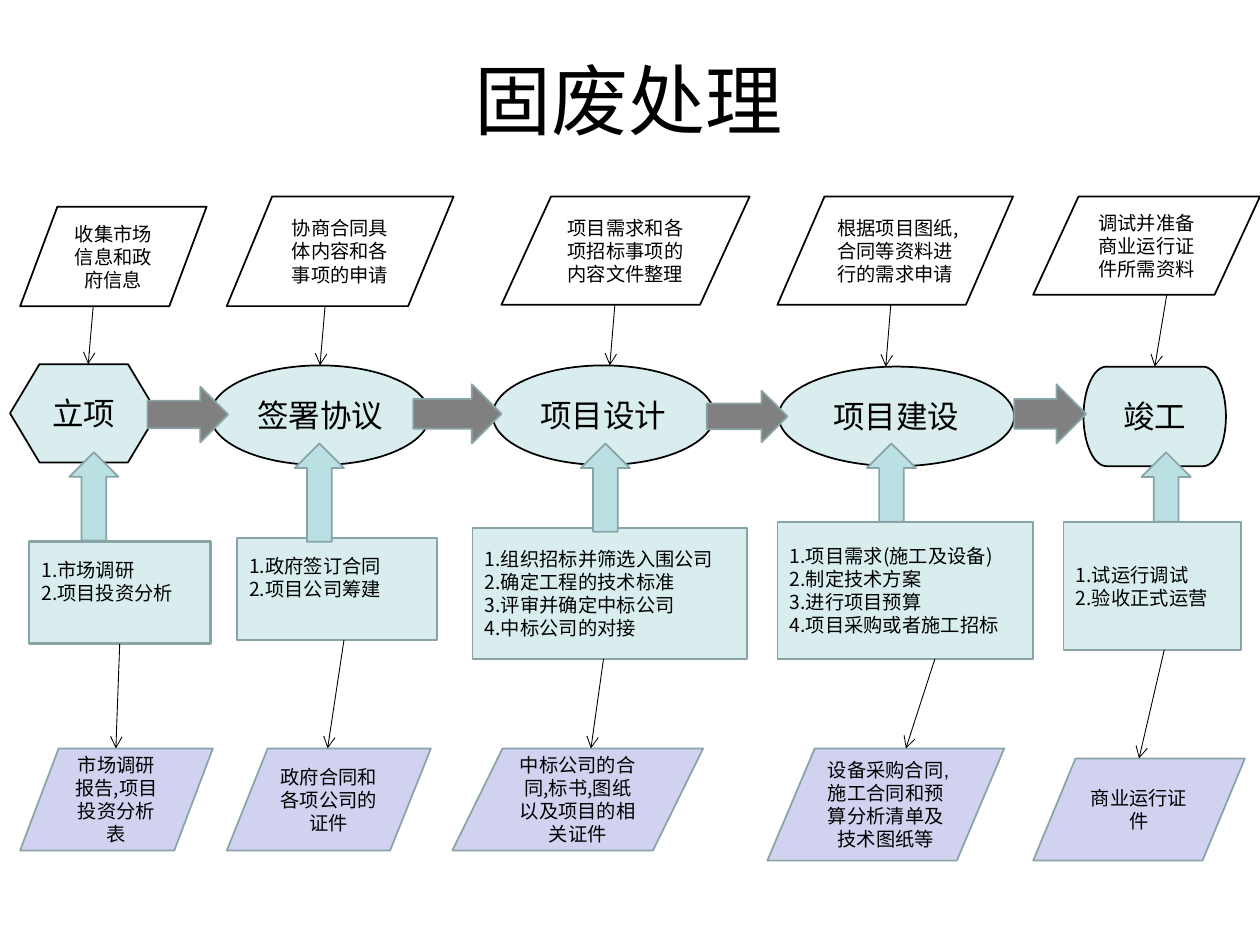
from dataclasses import dataclass
from typing import NamedTuple

from lxml.etree import SubElement
from pptx import Presentation
from pptx.dml.color import RGBColor
from pptx.enum.shapes import MSO_CONNECTOR, MSO_SHAPE
from pptx.enum.text import MSO_ANCHOR, PP_ALIGN
from pptx.oxml.ns import qn
from pptx.util import Inches, Pt

BLACK = RGBColor(0x00, 0x00, 0x00)
WHITE = RGBColor(0xFF, 0xFF, 0xFF)
PALE_TEAL = RGBColor(0xD9, 0xED, 0xEE)
TEAL = RGBColor(0xBB, 0xE0, 0xE3)
LAVENDER = RGBColor(0xD1, 0xD1, 0xF0)
GREY = RGBColor(0x80, 0x80, 0x80)
EDGE = RGBColor(0x89, 0xA4, 0xA7)

LATIN = "Arial"
CJK = "Noto Sans CJK SC"
BOTTOM, TOP = 2, 0
LINE_HEIGHT = 0.18


class Box(NamedTuple):
    left: float
    top: float
    width: float
    height: float

    @property
    def middle(self) -> float:
        return self.left + self.width / 2

    @property
    def bottom(self) -> float:
        return self.top + self.height


class Style(NamedTuple):
    fill: RGBColor
    line: RGBColor
    line_width: float = 1


class Link(NamedTuple):
    start: float
    end: float


@dataclass(frozen=True)
class Stage:
    name: str
    symbol: MSO_SHAPE
    box: Box
    source: str
    source_font: str
    source_box: Box
    source_link: Link
    tasks: tuple[str, ...]
    tasks_box: Box
    result: str
    result_font: str
    result_box: Box
    result_link: Link
    lift: Box
    tasks_edge: float = 1
    spare_lines: int = 0


STAGES = (
    Stage("立项", MSO_SHAPE.FLOWCHART_PREPARATION, Box(0.08, 2.89, 1.17, 0.78),
          "收集市场信息和政府信息", LATIN, Box(0.16, 1.64, 1.48, 0.79), Link(0.74, 0.7),
          ("市场调研", "项目投资分析"), Box(0.23, 4.3, 1.44, 0.81),
          "市场调研报告,项目投资分析表", CJK, Box(0.16, 5.94, 1.53, 0.81), Link(0.95, 0.92),
          Box(0.55, 3.59, 0.39, 0.7), tasks_edge=1.5, spare_lines=1),
    Stage("签署协议", MSO_SHAPE.FLOWCHART_CONNECTOR, Box(1.67, 2.9, 1.74, 0.79),
          "协商合同具体内容和各事项的申请", LATIN, Box(1.8, 1.56, 1.8, 0.87), Link(2.58, 2.54),
          ("政府签订合同", "项目公司筹建"), Box(1.88, 4.27, 1.59, 0.81),
          "政府合同和各项公司的证件", LATIN, Box(1.8, 5.94, 1.62, 0.81), Link(2.73, 2.6),
          Box(2.34, 3.52, 0.39, 0.78), spare_lines=1),
    Stage("项目设计", MSO_SHAPE.FLOWCHART_CONNECTOR, Box(3.91, 2.9, 1.76, 0.79),
          "项目需求和各项招标事项的内容文件整理", LATIN, Box(3.98, 1.56, 1.97, 0.86), Link(4.88, 4.84),
          ("组织招标并筛选入围公司", "确定工程的技术标准", "评审并确定中标公司", "中标公司的对接"),
          Box(3.75, 4.19, 2.18, 1.04),
          "中标公司的合同,标书,图纸以及项目的相关证件", CJK, Box(3.59, 5.94, 1.99, 0.81), Link(4.79, 4.69),
          Box(4.61, 3.52, 0.39, 0.7)),
    Stage("项目建设", MSO_SHAPE.FLOWCHART_CONNECTOR, Box(6.18, 2.91, 1.87, 0.79),
          "根据项目图纸,合同等资料进行的需求申请", CJK, Box(6.17, 1.56, 1.87, 0.86), Link(7.07, 7.03),
          ("项目需求(施工及设备)", "制定技术方案", "进行项目预算", "项目采购或者施工招标"),
          Box(6.17, 4.14, 2.03, 1.09),
          "设备采购合同,施工合同和预算分析清单及技术图纸等", LATIN, Box(6.09, 5.94, 1.88, 0.89), Link(7.42, 7.19),
          Box(6.88, 3.52, 0.39, 0.62)),
    Stage("竣工", MSO_SHAPE.FLOWCHART_TERMINATOR, Box(8.6, 2.91, 1.13, 0.79),
          "调试并准备商业运行证件所需资料", LATIN, Box(8.2, 1.56, 1.8, 0.78), Link(9.26, 9.16),
          ("试运行调试", "验收正式运营"), Box(8.44, 4.14, 1.41, 1.02),
          "商业运行证件", LATIN, Box(8.2, 6.02, 1.68, 0.81), Link(9.24, 9.04),
          Box(9.06, 3.59, 0.39, 0.55)),
)
ADVANCES = (Box(1.17, 3.07, 0.64, 0.44), Box(3.28, 3.05, 0.7, 0.47),
            Box(5.61, 3.1, 0.64, 0.41), Box(8.05, 3.05, 0.57, 0.47))


def add_text(paragraph, text: str, size: float, font: str, align: PP_ALIGN) -> None:
    paragraph.alignment = align
    run = paragraph.add_run()
    run.text = text
    run.font.size = Pt(size)
    run.font.name = font
    run.font.color.rgb = BLACK
    properties = run.font._element
    properties.set("lang", "zh-CN")
    SubElement(properties, qn("a:ea")).set("typeface", CJK)


def add_block(slide, symbol: MSO_SHAPE, box: Box, style: Style):
    block = slide.shapes.add_shape(symbol, *map(Inches, box))
    block.shadow.inherit = False
    block.fill.solid()
    block.fill.fore_color.rgb = style.fill
    block.line.color.rgb = style.line
    block.line.width = Pt(style.line_width)
    return block


def add_label(block, lines: tuple[str, ...], size: float, font: str,
              align: PP_ALIGN = PP_ALIGN.CENTER, spare_lines: int = 0) -> None:
    frame = block.text_frame
    frame.word_wrap = True
    frame.vertical_anchor = MSO_ANCHOR.MIDDLE
    frame.margin_bottom = Inches(0.05 + spare_lines * LINE_HEIGHT)
    for index, line in enumerate(lines):
        paragraph = frame.add_paragraph() if index else frame.paragraphs[0]
        add_text(paragraph, line, size, font, align)


def add_flow(slide, link: Link, top: float, bottom: float):
    flow = slide.shapes.add_connector(MSO_CONNECTOR.STRAIGHT, Inches(link.start), Inches(top),
                                      Inches(link.end), Inches(bottom))
    flow.line.color.rgb = BLACK
    flow.line.width = Pt(0.5)
    SubElement(flow.line._get_or_add_ln(), qn("a:tailEnd")).set("type", "arrow")
    SubElement(flow._element.spPr, qn("a:effectLst"))
    return flow


def is_centred(x: float, box: Box) -> bool:
    return abs(x - box.middle) < 0.01


def add_stage(slide, stage: Stage) -> None:
    core = add_block(slide, stage.symbol, stage.box, Style(PALE_TEAL, BLACK))
    add_label(core, (stage.name,), 18, LATIN)

    source = add_block(slide, MSO_SHAPE.FLOWCHART_DATA, stage.source_box, Style(WHITE, BLACK))
    add_label(source, (stage.source,), 11, stage.source_font)

    tasks = add_block(slide, MSO_SHAPE.RECTANGLE, stage.tasks_box,
                      Style(PALE_TEAL, EDGE, stage.tasks_edge))
    numbered = tuple(f"{number}.{task}" for number, task in enumerate(stage.tasks, 1))
    add_label(tasks, numbered, 11, CJK, PP_ALIGN.LEFT, stage.spare_lines)

    result = add_block(slide, MSO_SHAPE.FLOWCHART_DATA, stage.result_box, Style(LAVENDER, EDGE))
    add_label(result, (stage.result,), 11, stage.result_font)

    inflow = add_flow(slide, stage.source_link, stage.source_box.bottom, stage.box.top)
    if is_centred(stage.source_link.end, stage.box):
        inflow.end_connect(core, TOP)
    outflow = add_flow(slide, stage.result_link, stage.tasks_box.bottom, stage.result_box.top)
    if is_centred(stage.result_link.start, stage.tasks_box):
        outflow.begin_connect(tasks, BOTTOM)

    add_block(slide, MSO_SHAPE.UP_ARROW, stage.lift, Style(TEAL, EDGE))


def main() -> None:
    deck = Presentation()
    deck.slide_width, deck.slide_height = Inches(10), Inches(7.5)
    slide = deck.slides.add_slide(deck.slide_layouts[5])

    title = slide.shapes.title
    title.left, title.top, title.width, title.height = map(Inches, (0.49, 0.25, 9, 1.07))
    title.text_frame.vertical_anchor = MSO_ANCHOR.MIDDLE
    add_text(title.text_frame.paragraphs[0], "固废处理", 44, LATIN, PP_ALIGN.CENTER)

    for stage in STAGES:
        add_stage(slide, stage)
    for advance in ADVANCES:
        add_block(slide, MSO_SHAPE.RIGHT_ARROW, advance, Style(GREY, EDGE))

    deck.save("out.pptx")


if __name__ == "__main__":
    main()
